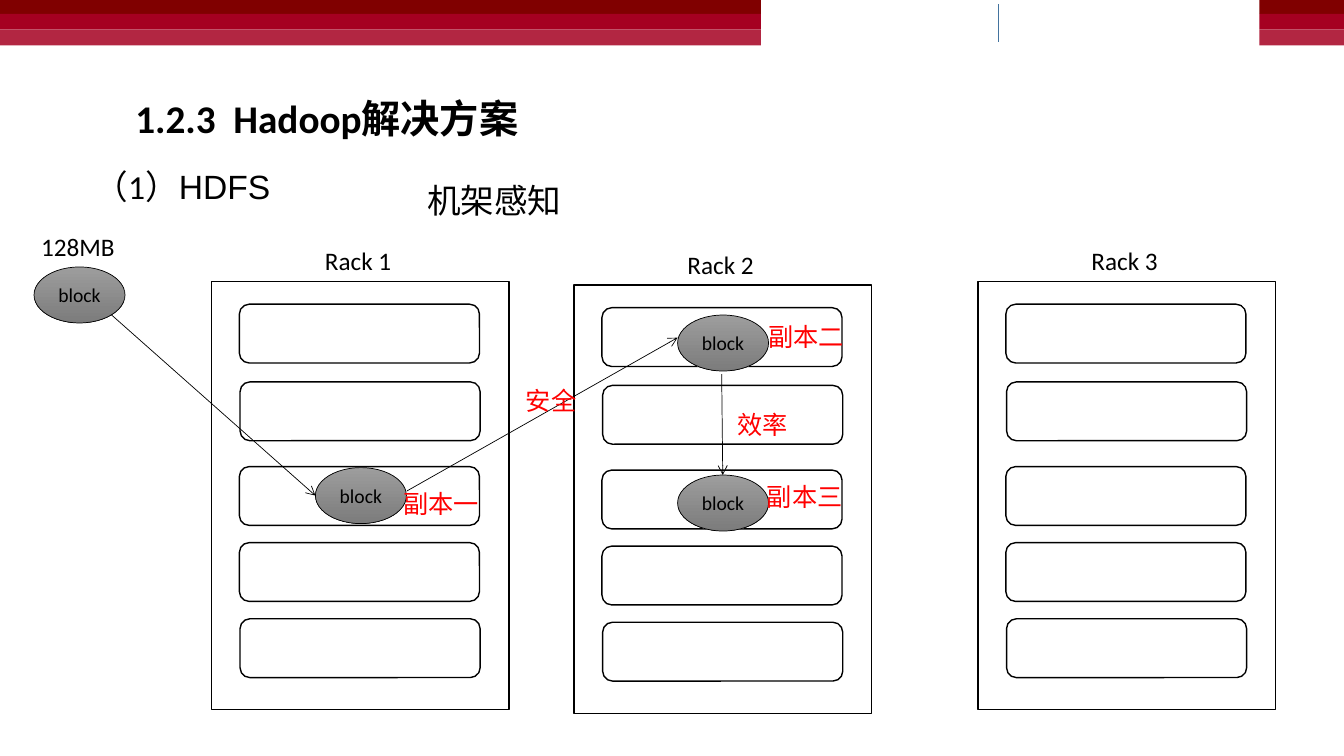
from lxml import etree
from pptx import Presentation
from pptx.dml.color import RGBColor
from pptx.enum import shapes, text
from pptx.oxml import ns
from pptx.util import Pt

BLACK = RGBColor(0x00, 0x00, 0x00)
WHITE = RGBColor(0xFF, 0xFF, 0xFF)
RED = RGBColor(0xFF, 0x00, 0x00)
BLUE = RGBColor(0x43, 0x73, 0x9E)
BANDS = [(0, 10, RGBColor(0x80, 0x00, 0x00)),
         (10, 11, RGBColor(0xA5, 0x00, 0x21)),
         (21, 11.5, RGBColor(0xB2, 0x26, 0x42))]
BLOCK_TOP = RGBColor(0x9D, 0x9D, 0x9D)
BLOCK_BOTTOM = RGBColor(0x7C, 0x7C, 0x7C)
SHAPE = shapes.MSO_SHAPE


def add_box(kind, left, top, width, height, fill=WHITE, line=1):
    """Add a flat shape; a fill of None or a line of 0 is left out."""
    sp = s.shapes.add_shape(kind, Pt(left), Pt(top), Pt(width), Pt(height))
    sp.shadow.inherit = False
    if fill is not None:
        sp.fill.solid()
        sp.fill.fore_color.rgb = fill
    if line:
        sp.line.color.rgb = BLACK
        sp.line.width = Pt(line)
    else:
        sp.line.fill.background()
    return sp


def write(tf, words, size, color=BLACK):
    tf.word_wrap = True
    p = tf.paragraphs[0]
    p.text = words
    r = p.runs[0]
    r.font.name = "Calibri"
    r.font.size = Pt(size)
    r.font.color.rgb = color
    return p


prs = Presentation()
prs.slide_width, prs.slide_height = Pt(960), Pt(540)
s = prs.slides.add_slide(prs.slide_layouts[5])

# Header bands
for left, width in [(0, 543.5), (899.5, 62.5)]:
    for top, height, color in BANDS:
        add_box(SHAPE.RECTANGLE, left, top, width, height, color, 0)

# Title
title = s.shapes.title
title.left, title.top, title.width, title.height = Pt(89.5), Pt(64), Pt(569), Pt(41)
title.text_frame.vertical_anchor = text.MSO_ANCHOR.TOP
title.text_frame.auto_size = text.MSO_AUTO_SIZE.NONE
p = write(title.text_frame, "1.2.3  Hadoop解决方案", 28)
p.alignment = text.PP_ALIGN.LEFT
p.runs[0].font.bold = True

# Racks with five slots each
for number, (left, top) in enumerate([(151, 201), (410, 203.5), (698.5, 201)], 1):
    add_box(SHAPE.RECTANGLE, left, top, 212.5, 306)
    for dx, dy in [(20, 16.3), (20.5, 71.8), (20, 132.3), (20, 186.6), (20.5, 241)]:
        add_box(SHAPE.ROUNDED_RECTANGLE, left + dx, top + dy, 171.5, 42)
    tb = s.shapes.add_textbox(Pt(left + 74), Pt(top - 29), Pt(80), Pt(29))
    write(tb.text_frame, f"Rack {number}", 18)

# Blocks
for left, top in [(24.3, 190.7), (225.3, 334), (484, 225), (484, 339.3)]:
    sp = add_box(SHAPE.OVAL, left, top, 65, 40, None, 0.5)
    sp.fill.gradient()
    sp.fill.gradient_angle = 270
    for stop, color in zip(sp.fill.gradient_stops, (BLOCK_TOP, BLOCK_BOTTOM)):
        stop.color.rgb = color
    tf = sp.text_frame
    p = write(tf, "block", 14)
    p.alignment = text.PP_ALIGN.CENTER
    tf.vertical_anchor = text.MSO_ANCHOR.MIDDLE
    tf.word_wrap = False

# Header divider and replica arrows
for x1, y1, x2, y2, color, width, arrow in [
        (713.3, 3, 713.3, 29.7, BLUE, 1, False),
        (79.5, 224.8, 225.3, 354, BLACK, 0.5, True),
        (290.7, 350.7, 484, 241.2, BLACK, 0.5, True),
        (515.5, 267.2, 516.3, 339.3, BLACK, 0.5, True)]:
    c = s.shapes.add_connector(shapes.MSO_CONNECTOR.STRAIGHT,
                               Pt(x1), Pt(y1), Pt(x2), Pt(y2))
    c.line.color.rgb = color
    c.line.width = Pt(width)
    if arrow:
        etree.SubElement(c.line._get_or_add_ln(), ns.qn("a:tailEnd"), type="arrow")
    etree.SubElement(c._element.spPr, ns.qn("a:effectLst"))

# Labels
for words, left, top, width, height, size, color in [
        ("机架感知", 298, 125.3, 143, 36, 24, BLACK),
        ("128MB", 22.3, 162, 84, 29, 18, BLACK),
        ("副本一", 281, 345, 82, 29, 18, RED),
        ("副本二", 541.5, 226, 73.5, 29, 18, RED),
        ("副本三", 540.7, 340.5, 102, 29, 18, RED),
        ("安全", 368.6, 271.5, 61, 29, 18, RED),
        ("效率", 519.8, 288.7, 102, 29, 18, RED),
        ("（1）", 60.5, 115.2, 720, 36, 24, BLACK)]:
    tb = s.shapes.add_textbox(Pt(left), Pt(top), Pt(width), Pt(height))
    p = write(tb.text_frame, words, size, color)

# The last label ends in a second font
r = p.add_run()
r.text = "HDFS"
r.font.name = "Arial"
r.font.size = Pt(24)
r.font.color.rgb = BLACK

prs.save("out.pptx")
